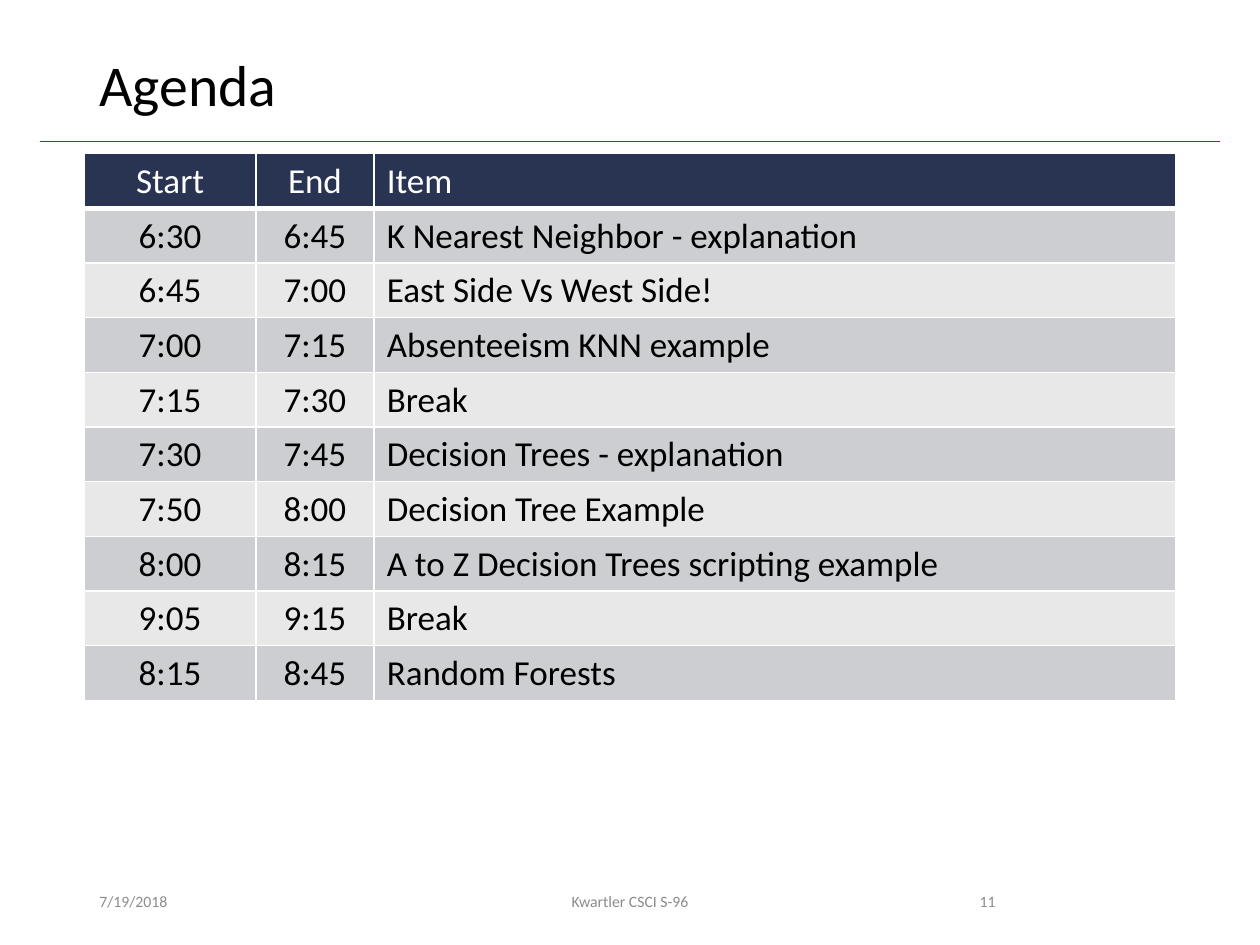
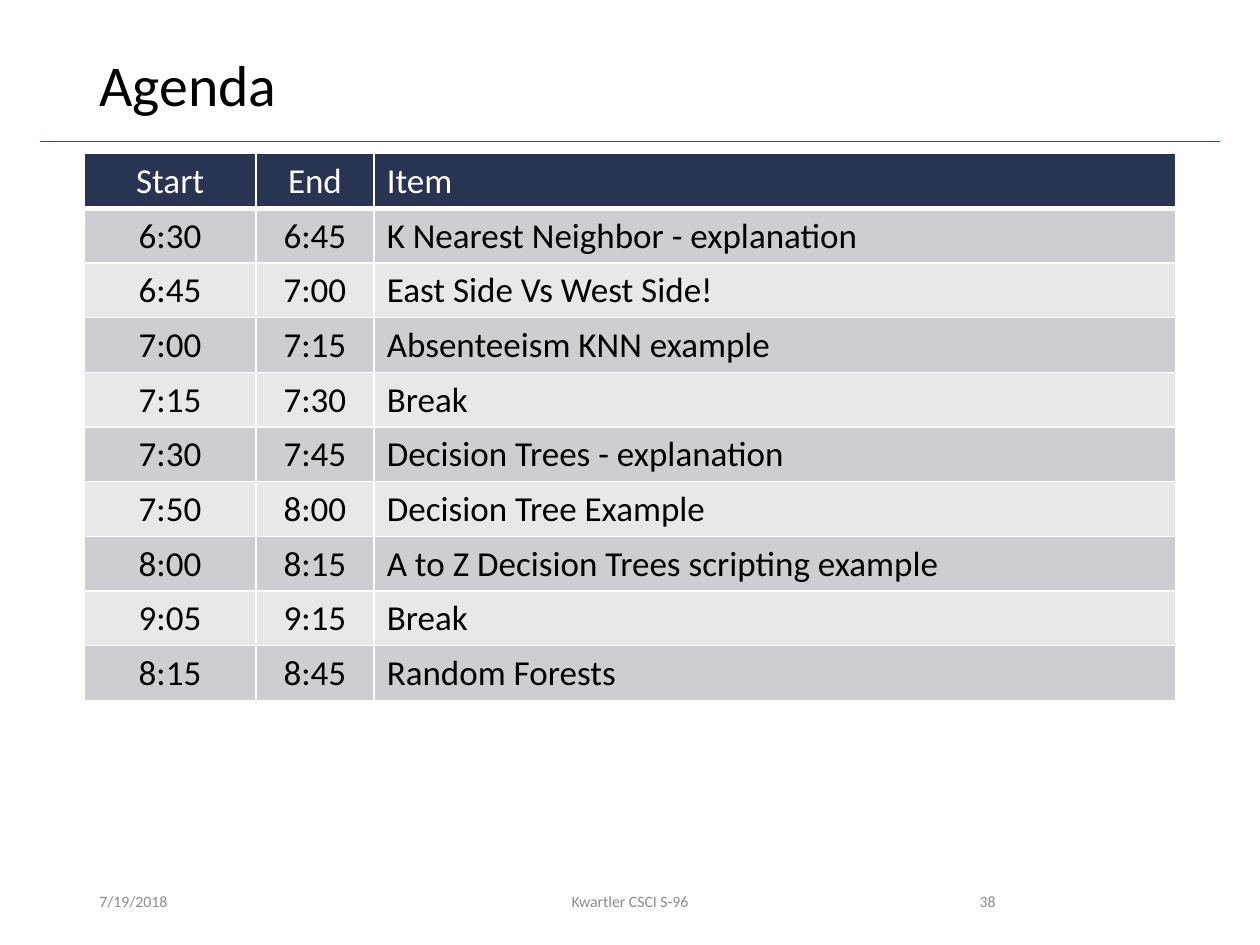
from lxml import etree
from pptx import Presentation
from pptx.dml.color import RGBColor
from pptx.enum.shapes import MSO_CONNECTOR
from pptx.enum.text import MSO_ANCHOR, PP_ALIGN
from pptx.oxml.ns import qn
from pptx.util import Inches, Pt

LEFT, CENTER, RIGHT = PP_ALIGN.LEFT, PP_ALIGN.CENTER, PP_ALIGN.RIGHT
TOP, MIDDLE = MSO_ANCHOR.TOP, MSO_ANCHOR.MIDDLE
STRAIGHT = MSO_CONNECTOR.STRAIGHT

FONT = "Calibri"
BLACK, WHITE, GRAY = "000000", "FFFFFF", "8C8C8C"
CRIMSON, NAVY = "A51C30", "293352"
BANDS = "CDCED1", "E8E8E9"

TITLE_BOX = 0.69, 0.4, 8.62, 0.65
TABLE_BOX = 0.67, 1.22, 8.66, 4.33
FOOT_BOX = 0.69, 6.95, 7.31, 0.4
COLS = 1.36, 0.94, 6.36
ALIGNS = CENTER, CENTER, LEFT
ROW = 0.41

AGENDA = [
    ("Start", "End", "Item"),
    ("6:30", "6:45", "K Nearest Neighbor - explanation"),
    ("6:45", "7:00", "East Side Vs West Side!"),
    ("7:00", "7:15", "Absenteeism KNN example"),
    ("7:15", "7:30", "Break"),
    ("7:30", "7:45", "Decision Trees - explanation"),
    ("7:50", "8:00", "Decision Tree Example"),
    ("8:00", "8:15", "A to Z Decision Trees scripting example"),
    ("9:05", "9:15", "Break"),
    ("8:15", "8:45", "Random Forests"),
]
PAGES = 11, 38


def rgb(code):
    return RGBColor.from_string(code)


def write(frame, text, size, color, align=LEFT):
    para = frame.paragraphs[0]
    para.text = text
    para.alignment = align
    para.font.name = FONT
    para.font.size = Pt(size)
    para.font.bold = False
    para.font.color.rgb = rgb(color)
    return para


def add_text(slide, box, text, size, color, align=LEFT, anchor=TOP):
    frame = slide.shapes.add_textbox(*map(Inches, box)).text_frame
    frame.word_wrap = True
    frame.vertical_anchor = anchor
    return write(frame, text, size, color, align)


def add_rule(slide, left, right, y):
    rule = slide.shapes.add_connector(
        STRAIGHT, Inches(left), Inches(y), Inches(right), Inches(y))
    rule.line.color.rgb = rgb(CRIMSON)
    rule.line.width = Pt(0.5)
    etree.SubElement(rule.element.spPr, qn("a:effectLst"))


def add_title(slide, box, text):
    add_text(slide, box, text, 33, BLACK).line_spacing = 0.9
    add_rule(slide, 0.32, 9.68, 1.12)


def set_border(cell, bottom):
    """Draw white cell edges; call before setting the cell's fill."""
    props = cell._tc.get_or_add_tcPr()
    for side, width in zip("LRTB", (1, 1, 1, bottom)):
        edge = etree.SubElement(props, qn(f"a:ln{side}"), w=str(Pt(width)))
        fill = etree.SubElement(edge, qn("a:solidFill"))
        etree.SubElement(fill, qn("a:srgbClr"), val=WHITE)


def add_agenda(slide, box, rows):
    table = slide.shapes.add_table(
        len(rows), len(COLS), *map(Inches, box)).table
    for col, width in zip(table.columns, COLS):
        col.width = Inches(width)
    for i, row in enumerate(rows):
        table.rows[i].height = Inches(ROW)
        head = i == 0
        for j, text in enumerate(row):
            cell = table.cell(i, j)
            set_border(cell, 3 if head else 1)
            cell.fill.solid()
            cell.fill.fore_color.rgb = rgb(NAVY if head else BANDS[(i - 1) % 2])
            write(cell.text_frame, text, 20, WHITE if head else BLACK, ALIGNS[j])


def add_footer(slide, box, page):
    left, top, _, height = box
    parts = [
        (0, 2.25, "7/19/2018", LEFT),
        (2.62, 3.38, "Kwartler CSCI S-96", CENTER),
        (6.37, 0.94, str(page), RIGHT),
    ]
    for shift, width, text, align in parts:
        add_text(slide, (left + shift, top, width, height),
                 text, 9, GRAY, align, MIDDLE)


def add_page(deck, page):
    slide = deck.slides.add_slide(deck.slide_layouts[6])
    add_title(slide, TITLE_BOX, "Agenda")
    add_agenda(slide, TABLE_BOX, AGENDA)
    add_footer(slide, FOOT_BOX, page)


def main():
    deck = Presentation()
    deck.slide_width, deck.slide_height = Inches(10), Inches(7.5)
    for page in PAGES:
        add_page(deck, page)
    deck.save("out.pptx")


if __name__ == "__main__":
    main()
